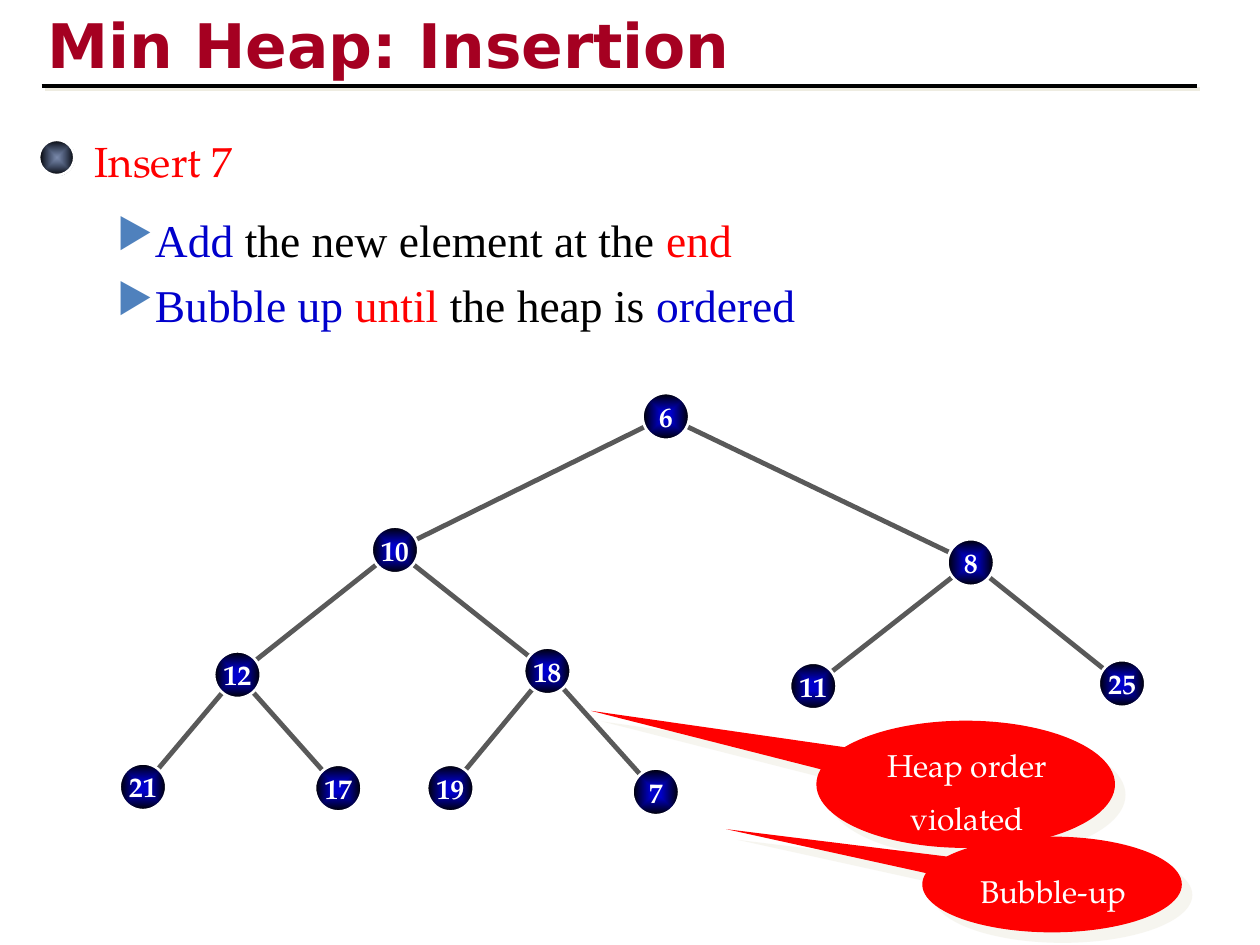
from lxml import etree
from pptx import Presentation
from pptx.dml.color import RGBColor
from pptx.enum.shapes import MSO_CONNECTOR as Connector, MSO_SHAPE as Shape
from pptx.enum.text import MSO_ANCHOR as Anchor, PP_ALIGN as Align
from pptx.oxml import parse_xml
from pptx.oxml.ns import nsdecls, qn
from pptx.util import Inches, Pt

BLACK = RGBColor(0x00, 0x00, 0x00)
WHITE = RGBColor(0xFF, 0xFF, 0xFF)
CRIMSON = RGBColor(0xA5, 0x00, 0x21)
RED = RGBColor(0xFF, 0x00, 0x00)
BLUE = RGBColor(0x00, 0x00, 0xCC)
NAVY = RGBColor(0x00, 0x20, 0x60)
GRAY = RGBColor(0x59, 0x59, 0x59)
CREAM = RGBColor(0xEE, 0xEC, 0xE1)
STEEL = RGBColor(0x4F, 0x81, 0xBD)
SERIF = "TeX Gyre Pagella"
NODE_SIZE = 0.37
NODES = {
    "6": (4.15, 0), "10": (2, 1.06), "8": (6.57, 1.16),
    "12": (0.75, 2.05), "18": (3.21, 2.02), "11": (5.32, 2.14), "25": (7.77, 2.12),
    "21": (0, 2.94), "17": (1.55, 2.95), "19": (2.44, 2.95), "7": (4.07, 2.98),
}
CHILDREN = {"6": ("10", "8"), "10": ("12", "18"), "8": ("11", "25"),
            "12": ("21", "17"), "18": ("19", "7")}
STEPS = [
    [("Add", BLUE), (" the new element at the ", BLACK), ("end", RED)],
    [("Bubble up ", BLUE), ("until", RED), (" the heap is ", BLACK), ("ordered", BLUE)],
]


def add_effects(properties, distance=None, alpha=100):
    effects = etree.SubElement(properties, qn("a:effectLst"))
    if distance:
        effects.append(parse_xml(
            f'<a:outerShdw {nsdecls("a")} blurRad="0" dist="{Pt(distance)}" dir="2700000" '
            f'algn="tl" rotWithShape="0"><a:srgbClr val="{CREAM}">'
            f'<a:alpha val="{alpha * 1000}"/></a:srgbClr></a:outerShdw>'))


def style(font, name, size, color, bold=False):
    font.name, font.size, font.bold = name, Pt(size), bold
    font.color.rgb = color


def add_line(slide, start, end, color, width, shadow=None):
    line = slide.shapes.add_connector(
        Connector.STRAIGHT, *(Inches(value) for value in (*start, *end)))
    line.line.color.rgb = color
    line.line.width = Pt(width)
    add_effects(line._element.spPr, shadow)


def add_text(slide, left, top, width, height):
    box = slide.shapes.add_textbox(Inches(left), Inches(top), Inches(width), Inches(height))
    box.text_frame.word_wrap = True
    return box.text_frame


def add_ball(slide, left, top, size, stops):
    ball = slide.shapes.add_shape(
        Shape.OVAL, Inches(left), Inches(top), Inches(size), Inches(size))
    ball.line.color.rgb = WHITE
    ball.line.width = Pt(1.5)
    ball.shadow.inherit = False
    stop_xml = "".join(
        f'<a:gs pos="{position * 1000}"><a:srgbClr val="{color}">'
        f'<a:alpha val="{alpha * 1000}"/></a:srgbClr></a:gs>'
        for position, color, alpha in stops)
    ball._element.spPr.find(qn("a:prstGeom")).addnext(parse_xml(
        f'<a:gradFill {nsdecls("a")} rotWithShape="1"><a:gsLst>{stop_xml}</a:gsLst>'
        '<a:path path="shape"><a:fillToRect l="50000" t="50000" r="50000" b="50000"/>'
        '</a:path></a:gradFill>'))
    return ball


def add_title(slide, left, top, width, height):
    frame = add_text(slide, left, top, width, height)
    frame.text = "Min Heap: Insertion"
    run = frame.paragraphs[0].runs[0]
    style(run.font, "DejaVu Sans", 35.1, CRIMSON, True)
    effects_holder = run.font._element
    add_effects(effects_holder, 2.8)
    effects_holder.find(qn("a:solidFill")).addnext(effects_holder.find(qn("a:effectLst")))
    rule_y = top + height
    add_line(slide, (left + 0.05, rule_y), (9.5, rule_y), BLACK, 2.25, 2.8)


def add_bullet(paragraph):
    properties = paragraph._element.get_or_add_pPr()
    properties.set("marL", str(Inches(0.3)))
    properties.set("indent", str(-Inches(0.3)))
    for xml in (f'<a:buClr {nsdecls("a")}><a:srgbClr val="{STEEL}"/></a:buClr>',
                f'<a:buSzPct {nsdecls("a")} val="90000"/>',
                f'<a:buChar {nsdecls("a")} char="▶"/>'):
        properties.append(parse_xml(xml))


def add_steps(slide, left, top):
    add_ball(slide, left, top + 0.08, 0.28, [(0, NAVY, 51), (100, BLACK, 100)])
    heading = add_text(slide, left + 0.26, top, 6.99, 0.5)
    heading.margin_left = Inches(0.18)
    heading.text = "Insert 7"
    style(heading.paragraphs[0].runs[0].font, SERIF, 24, RED)

    frame = add_text(slide, left + 0.52, top + 0.55, 9.1, 1.09)
    frame.margin_top = Inches(0.1)
    for index, parts in enumerate(STEPS):
        paragraph = frame.add_paragraph() if index else frame.paragraphs[0]
        add_bullet(paragraph)
        paragraph.space_before = Pt(6 if index else 0)
        for text, color in parts:
            run = paragraph.add_run()
            run.text = text
            style(run.font, "Times New Roman", 26, color)


def add_tree(slide, left, top):
    centers = {key: (left + x + NODE_SIZE / 2, top + y + NODE_SIZE / 2)
               for key, (x, y) in NODES.items()}
    for parent, children in CHILDREN.items():
        for child in children:
            add_line(slide, centers[parent], centers[child], GRAY, 2.75)
    for key, (x, y) in NODES.items():
        node = add_ball(slide, left + x, top + y, NODE_SIZE,
                        [(0, BLUE, 100), (21, BLUE, 100), (100, BLACK, 100)])
        frame = node.text_frame
        frame.word_wrap = False
        frame.vertical_anchor = Anchor.MIDDLE
        frame.text = key
        frame.paragraphs[0].alignment = Align.CENTER
        style(frame.paragraphs[0].runs[0].font, SERIF, 16, WHITE, True)


def add_callout(slide, left, top, width, height, text, text_top):
    callout = slide.shapes.add_shape(
        Shape.OVAL_CALLOUT, Inches(left), Inches(top), Inches(width), Inches(height))
    callout.adjustments[0], callout.adjustments[1] = -1.255, -0.578
    callout.fill.solid()
    callout.fill.fore_color.rgb = RED
    callout.line.fill.background()
    add_effects(callout._element.spPr, 8.5, 50)
    frame = add_text(slide, left + 0.1, top + text_top, width - 0.18, height - text_top)
    frame.text = text
    for index, paragraph in enumerate(frame.paragraphs):
        paragraph.alignment = Align.CENTER
        paragraph.space_before = Pt(9 if index else 0)
        style(paragraph.runs[0].font, SERIF, 18, WHITE)


def main():
    presentation = Presentation()
    presentation.slide_width, presentation.slide_height = Inches(10), Inches(7.5)
    slide = presentation.slides.add_slide(presentation.slide_layouts[6])
    add_title(slide, 0.28, 0.01, 8.5, 0.67)
    add_steps(slide, 0.31, 1.03)
    add_tree(slide, 0.95, 3.12)
    add_callout(slide, 6.48, 5.72, 2.37, 1.01, "Heap order\nviolated", 0.15)
    add_callout(slide, 7.32, 6.64, 2.06, 0.76, "Bubble-up", 0.23)
    presentation.save("out.pptx")


if __name__ == "__main__":
    main()
